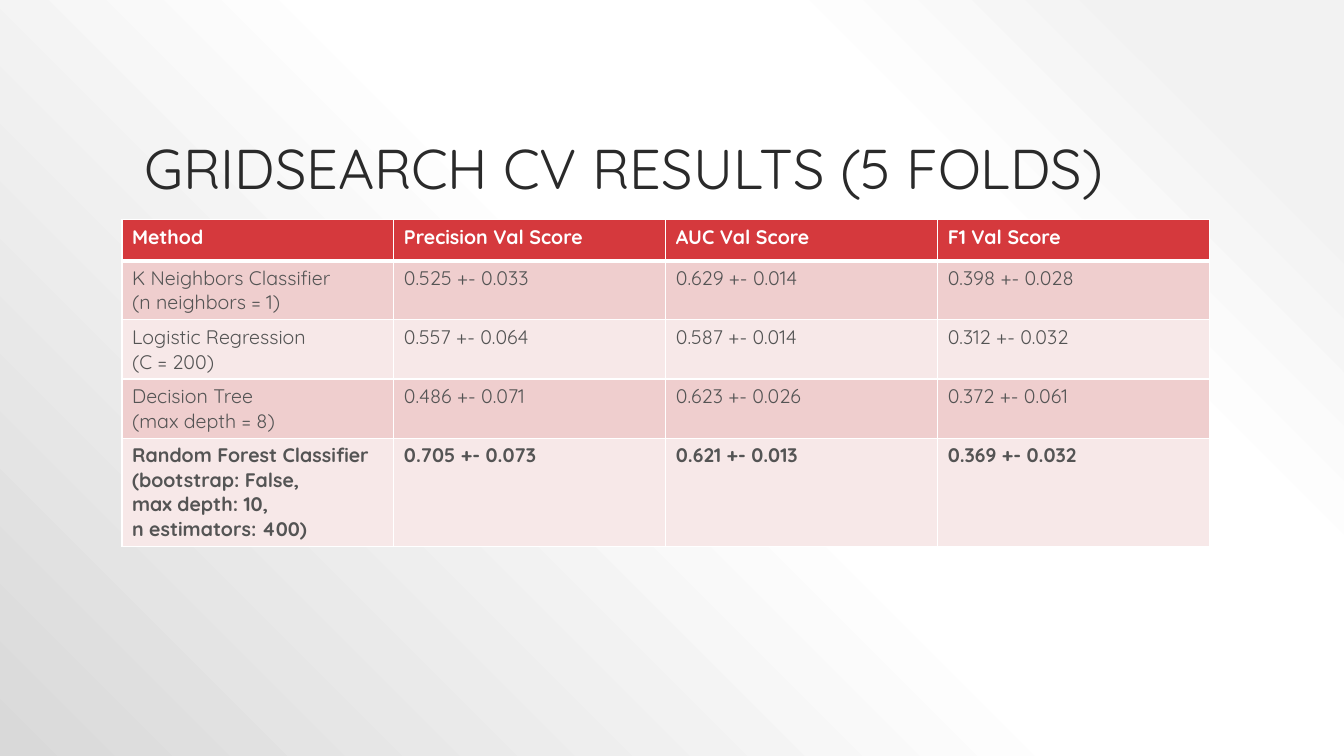
from dataclasses import dataclass

from pptx import Presentation
from pptx.dml.color import RGBColor as Rgb
from pptx.enum.text import MSO_ANCHOR as Anchor, MSO_AUTO_SIZE as AutoSize, PP_ALIGN as Align
from pptx.oxml import parse_xml
from pptx.oxml.ns import nsdecls
from pptx.util import Pt

TITLE = "GRIDSEARCH CV RESULTS (5 FOLDS)"
SCORES = [
    ("Method", "Precision Val Score", "AUC Val Score", "F1 Val Score"),
    ("K Neighbors Classifier\v(n neighbors = 1)", "0.525 +- 0.033", "0.629 +- 0.014", "0.398 +- 0.028"),
    ("Logistic Regression \v(C = 200)", "0.557 +- 0.064", "0.587 +- 0.014", "0.312 +- 0.032"),
    ("Decision Tree \v(max depth = 8)", "0.486 +- 0.071", "0.623 +- 0.026", "0.372 +- 0.061"),
    ("Random Forest Classifier (bootstrap: False, \vmax depth: 10, \vn estimators: 400)",
     "0.705 +- 0.073", "0.621 +- 0.013", "0.369 +- 0.032"),
]
ROW_HEIGHTS = [29.2, 42.2, 42.2, 42.2, 77.2]
BACKDROP = [(10, "F2F2F2"), (28, "FFFFFF"), (48, "FFFFFF"), (100, "D9D9D9")]
TITLE_BOX = {"left": 96, "top": 21.6, "width": 768, "height": 126}
TABLE_LEFT, TABLE_TOP, COLUMN_WIDTH = 87.12, 157, 194.25


@dataclass(frozen=True)
class Theme:
    font: str = "Quicksand"
    title_size: int = 40
    table_size: int = 14
    title: str = "2A2A2A"
    text: str = "545454"
    header_text: str = "FFFFFF"
    header: str = "D5393D"
    bands: tuple = ("F7E8E8", "EFCECE")
    border: str = "FFFFFF"
    thin: int = 1
    thick: int = 3


THEME = Theme()


def set_all(target, values):
    for name, value in values.items():
        setattr(target, name, value)


def style_runs(para, size, color, bold=False):
    for span in para.runs:
        set_all(span.font, {"name": THEME.font, "size": Pt(size), "bold": bold})
        span.font.color.rgb = Rgb.from_string(color)


def paint_background(page):
    stops = "".join(f'<a:gs pos="{place * 1000}"><a:srgbClr val="{color}"/></a:gs>' for place, color in BACKDROP)
    page.element.cSld.insert(0, parse_xml(
        f'<p:bg {nsdecls("p", "a")}><p:bgPr><a:gradFill rotWithShape="1"><a:gsLst>{stops}</a:gsLst>'
        '<a:path path="circle"><a:fillToRect l="100000" b="100000"/></a:path></a:gradFill>'
        '<a:effectLst/></p:bgPr></p:bg>'))


def add_borders(cell, row):
    widths = {"L": THEME.thin, "R": THEME.thin,
              "T": THEME.thick if row == 1 else THEME.thin,
              "B": THEME.thick if row == 0 else THEME.thin}
    properties = cell._tc.get_or_add_tcPr()
    for place, (side, width) in enumerate(widths.items()):
        properties.insert(place, parse_xml(
            f'<a:ln{side} {nsdecls("a")} w="{Pt(width)}"><a:solidFill>'
            f'<a:srgbClr val="{THEME.border}"/></a:solidFill></a:ln{side}>'))


def add_title(page):
    box = page.shapes.title
    set_all(box, {name: Pt(value) for name, value in TITLE_BOX.items()})
    frame = box.text_frame
    frame.text = TITLE
    set_all(frame, {"word_wrap": True, "auto_size": AutoSize.NONE, "vertical_anchor": Anchor.BOTTOM})
    para = frame.paragraphs[0]
    set_all(para, {"alignment": Align.LEFT, "line_spacing": 0.9})
    style_runs(para, THEME.title_size, THEME.title)


def add_scores(page):
    columns = len(SCORES[0])
    table = page.shapes.add_table(len(SCORES), columns, Pt(TABLE_LEFT), Pt(TABLE_TOP),
                                  Pt(COLUMN_WIDTH * columns), Pt(sum(ROW_HEIGHTS))).table
    for column in table.columns:
        column.width = Pt(COLUMN_WIDTH)
    for row, (values, height) in enumerate(zip(SCORES, ROW_HEIGHTS)):
        table.rows[row].height = Pt(height)
        is_header = row == 0
        fill = THEME.header if is_header else THEME.bands[row % 2]
        color = THEME.header_text if is_header else THEME.text
        bold = is_header or row == len(SCORES) - 1
        for column, value in enumerate(values):
            cell = table.cell(row, column)
            para = cell.text_frame.paragraphs[0]
            para.text = value
            style_runs(para, THEME.table_size, color, bold)
            cell.fill.solid()
            cell.fill.fore_color.rgb = Rgb.from_string(fill)
            add_borders(cell, row)


def main():
    """Build the grid search results slide."""
    deck = Presentation()
    set_all(deck, {"slide_width": Pt(960), "slide_height": Pt(540)})
    page = deck.slides.add_slide(deck.slide_layouts[5])
    paint_background(page)
    add_title(page)
    add_scores(page)
    deck.save("out.pptx")


if __name__ == "__main__":
    main()
